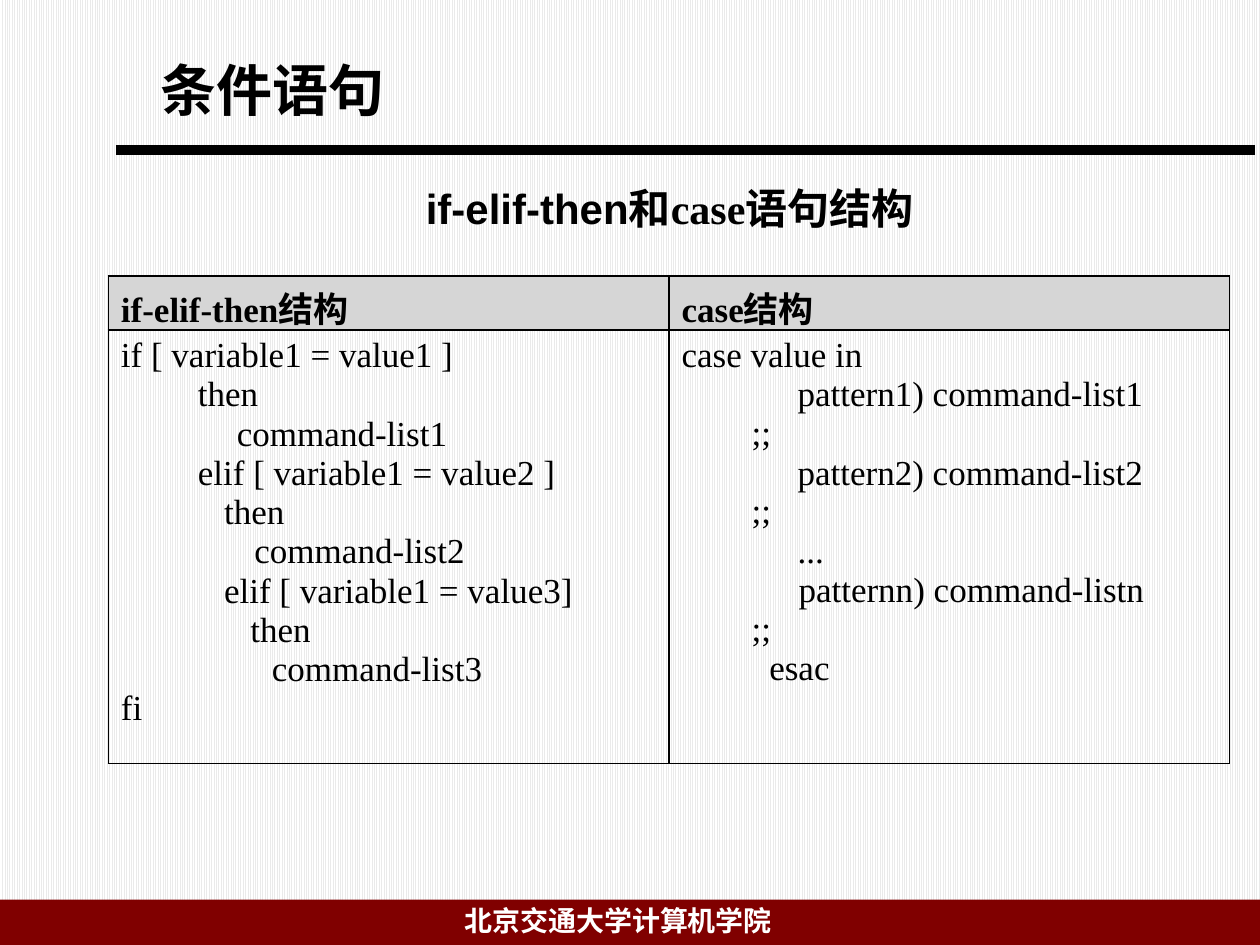
"""Build the slide comparing the if-elif-then and case structures."""
from lxml import etree
from pptx import Presentation
from pptx.dml.color import RGBColor
from pptx.enum.dml import MSO_PATTERN
from pptx.enum.shapes import MSO_CONNECTOR, MSO_SHAPE
from pptx.enum.text import MSO_ANCHOR, PP_ALIGN
from pptx.oxml.ns import qn
from pptx.util import Inches, Pt

LIGHT_VERTICAL = MSO_PATTERN.LIGHT_VERTICAL
STRAIGHT, RECTANGLE = MSO_CONNECTOR.STRAIGHT, MSO_SHAPE.RECTANGLE
TOP, MIDDLE = MSO_ANCHOR.TOP, MSO_ANCHOR.MIDDLE
LEFT, CENTER = PP_ALIGN.LEFT, PP_ALIGN.CENTER
SERIF, SANS = "Times New Roman", "Arial"
COLORS = {"black": "000000", "white": "FFFFFF", "stripe": "EAEAEA",
          "maroon": "800000", "header": "D6D6D6"}
HEADERS = ["if-elif-then结构", "case结构"]
# Each code line: wide indent, narrow indent, text
CODE = [
    [("", "if [ variable1 = value1 ]"),
     ("       ", " then"),
     ("           ", " command-list1"),
     ("       ", " elif [ variable1 = value2 ]"),
     ("       ", "    then"),
     ("           ", "   command-list2"),
     ("       ", "    elif [ variable1 = value3]"),
     ("       ", "       then"),
     ("           ", "     command-list3"),
     ("", "fi")],
    [("", "case value in"),
     ("           ", " pattern1) command-list1"),
     ("", "        ;;"),
     ("           ", " pattern2) command-list2"),
     ("", "        ;;"),
     ("           ", " ..."),
     ("            ", "patternn) command-listn"),
     ("", "        ;;"),
     ("         ", "esac")],
]


def rgb(name):
    return RGBColor.from_string(COLORS[name])


def add_run(p, text, size, font=SERIF, bold=True, color="black"):
    r = p.add_run()
    r.text = text
    r.font.size, r.font.name, r.font.bold = Pt(size), font, bold
    r.font.color.rgb = rgb(color)


prs = Presentation()
prs.slide_width, prs.slide_height = Inches(10), Inches(7.5)
s = prs.slides.add_slide(prs.slide_layouts[5])
fill = s.background.fill
fill.patterned()
fill.pattern = LIGHT_VERTICAL
fill.fore_color.rgb, fill.back_color.rgb = rgb("stripe"), rgb("white")

rule = s.shapes.add_connector(STRAIGHT, Inches(0.92), Inches(1.19), Inches(9.96), Inches(1.19))
rule.line.color.rgb, rule.line.width = rgb("black"), Pt(6)
etree.SubElement(rule._element.spPr, qn("a:effectLst"))

band = s.shapes.add_shape(RECTANGLE, 0, Inches(7.14), prs.slide_width, Inches(0.36))
band.shadow.inherit = False
band.fill.solid()
band.fill.fore_color.rgb = rgb("maroon")
band.line.fill.background()

footer = s.shapes.add_textbox(Inches(3.59), Inches(7.12), Inches(3.32), Inches(0.37))
footer.text_frame.word_wrap = True
add_run(footer.text_frame.paragraphs[0], "北京交通大学计算机学院", 16, color="white")

title = s.shapes.title
title.left, title.top, title.width, title.height = map(Inches, (1.17, 0.39, 8.33, 1.25))
title.text_frame.vertical_anchor = TOP
p = title.text_frame.paragraphs[0]
p.alignment = LEFT
add_run(p, "条件语句", 32)

subtitle = s.shapes.add_textbox(Inches(3.08), Inches(1.39), Inches(4.47), Inches(0.51))
tf = subtitle.text_frame
tf.word_wrap, tf.vertical_anchor = True, MIDDLE
p = tf.paragraphs[0]
p.alignment = CENTER
add_run(p, "if-elif-then", 24, SANS)
add_run(p, "和case语句结构", 24)

table = s.shapes.add_table(2, 2, Inches(0.86), Inches(2.19), Inches(8.9), Inches(3.87)).table
table.first_row = table.horz_banding = False
table.rows[0].height, table.rows[1].height = Inches(0.43), Inches(3.44)

for cell in table.iter_cells():
    tc_pr = cell._tc.get_or_add_tcPr()
    for side in ("a:lnL", "a:lnR", "a:lnT", "a:lnB"):
        ln = etree.SubElement(tc_pr, qn(side), w=str(Pt(1)))
        solid = etree.SubElement(ln, qn("a:solidFill"))
        etree.SubElement(solid, qn("a:srgbClr"), val=COLORS["black"])

for col, (header, lines) in enumerate(zip(HEADERS, CODE)):
    cell = table.cell(0, col)
    cell.fill.solid()
    cell.fill.fore_color.rgb = rgb("header")
    cell.margin_bottom = 0
    add_run(cell.text_frame.paragraphs[0], header, 20)

    cell = table.cell(1, col)
    cell.fill.background()
    tf = cell.text_frame
    for i, (indent, code) in enumerate(lines):
        p = tf.add_paragraph() if i else tf.paragraphs[0]
        if indent:
            add_run(p, indent, 20, SANS, bold=False)
        add_run(p, code, 20, bold=False)

prs.save("out.pptx")
